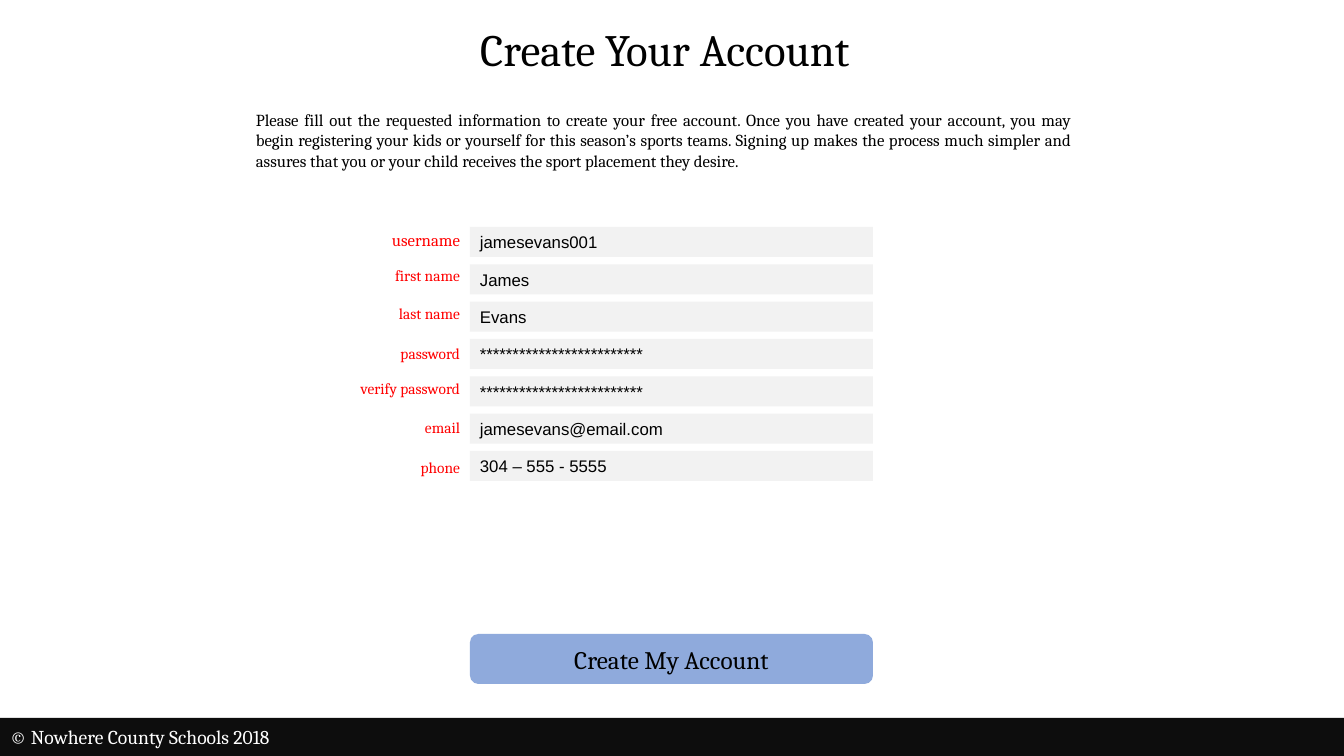
from pptx import Presentation
from pptx.dml.color import RGBColor
from pptx.enum.shapes import MSO_SHAPE as SHAPE
from pptx.enum.text import MSO_ANCHOR as ANCHOR, MSO_AUTO_SIZE as FIT, PP_ALIGN as ALIGN
from pptx.util import Pt

TITLE = "Create Your Account"
INTRO = (
    "Please fill out the requested information to create your free account. "
    "Once you have created your account, you may begin registering your kids or "
    "yourself for this season’s sports teams. Signing up makes the process much "
    "simpler and assures that you or your child receives the sport placement they desire."
)
FIELDS = [
    ("username", 12, 225, "jamesevans001"),
    ("first name", 11, 261, "James"),
    ("last name", 11, 299, "Evans"),
    ("password", 11, 339, "*************************"),
    ("verify password", 11, 374, "*************************"),
    ("email", 11, 413, "jamesevans@email.com"),
    ("phone", 11, 453, "304 – 555 - 5555"),
]
BUTTON = "Create My Account"
FOOTER = "© Nowhere County Schools 2018"

BLACK = RGBColor(0x00, 0x00, 0x00)
WHITE = RGBColor(0xFF, 0xFF, 0xFF)
RED = RGBColor(0xFF, 0x00, 0x00)
BAR = RGBColor(0x0D, 0x0D, 0x0D)
FIELD = RGBColor(0xF2, 0xF2, 0xF2)
BLUE = RGBColor(0x8F, 0xAA, 0xDC)

SCALE = 914400 / 100.8
W, H = 1344, 756
FIELD_X, FIELD_Y, FIELD_W, FIELD_H = 470, 227, 403, 30
LAST_FIELD_Y = 451
LABEL_X = 244


def px(*lengths):
    return [round(n * SCALE) for n in lengths]


def write(s, text, size, align=ALIGN.LEFT, color=BLACK, font="Cambria"):
    tf = s.text_frame
    tf.word_wrap = True
    p = tf.paragraphs[0]
    p.text = text
    p.alignment = align
    f = p.runs[0].font
    f.name, f.size, f.color.rgb = font, Pt(size), color


def add_text(box, text, size, align=ALIGN.LEFT, color=BLACK):
    s = slide.shapes.add_textbox(*px(*box))
    write(s, text, size, align, color)
    s.text_frame.auto_size = FIT.SHAPE_TO_FIT_TEXT


def add_block(box, fill, kind=SHAPE.RECTANGLE):
    s = slide.shapes.add_shape(kind, *px(*box))
    s.shadow.inherit = False
    s.fill.solid()
    s.fill.fore_color.rgb = fill
    s.line.fill.background()
    s.text_frame.vertical_anchor = ANCHOR.MIDDLE
    return s


prs = Presentation()
prs.slide_width, prs.slide_height = px(W, H)
slide = prs.slides.add_slide(prs.slide_layouts[6])

add_text((-7, 17, W, 64), TITLE, 32, ALIGN.CENTER)
add_text((246, 105, 836, 71), INTRO, 12, ALIGN.JUSTIFY)

pitch = (LAST_FIELD_Y - FIELD_Y) / (len(FIELDS) - 1)
for i, (label, size, label_y, value) in enumerate(FIELDS):
    s = add_block((FIELD_X, FIELD_Y + i * pitch, FIELD_W, FIELD_H), FIELD)
    write(s, value, 12, font="Arial")
    add_text((LABEL_X, label_y, FIELD_X - LABEL_X, 29), label, size, ALIGN.RIGHT, RED)

s = add_block((FIELD_X, 634, FIELD_W, 50), BLUE, SHAPE.ROUNDED_RECTANGLE)
write(s, BUTTON, 18, ALIGN.CENTER)

add_block((0, 718, W, H - 718), BAR)
add_text((0, 720, 664, 34), FOOTER, 14, color=WHITE)

prs.save("out.pptx")
